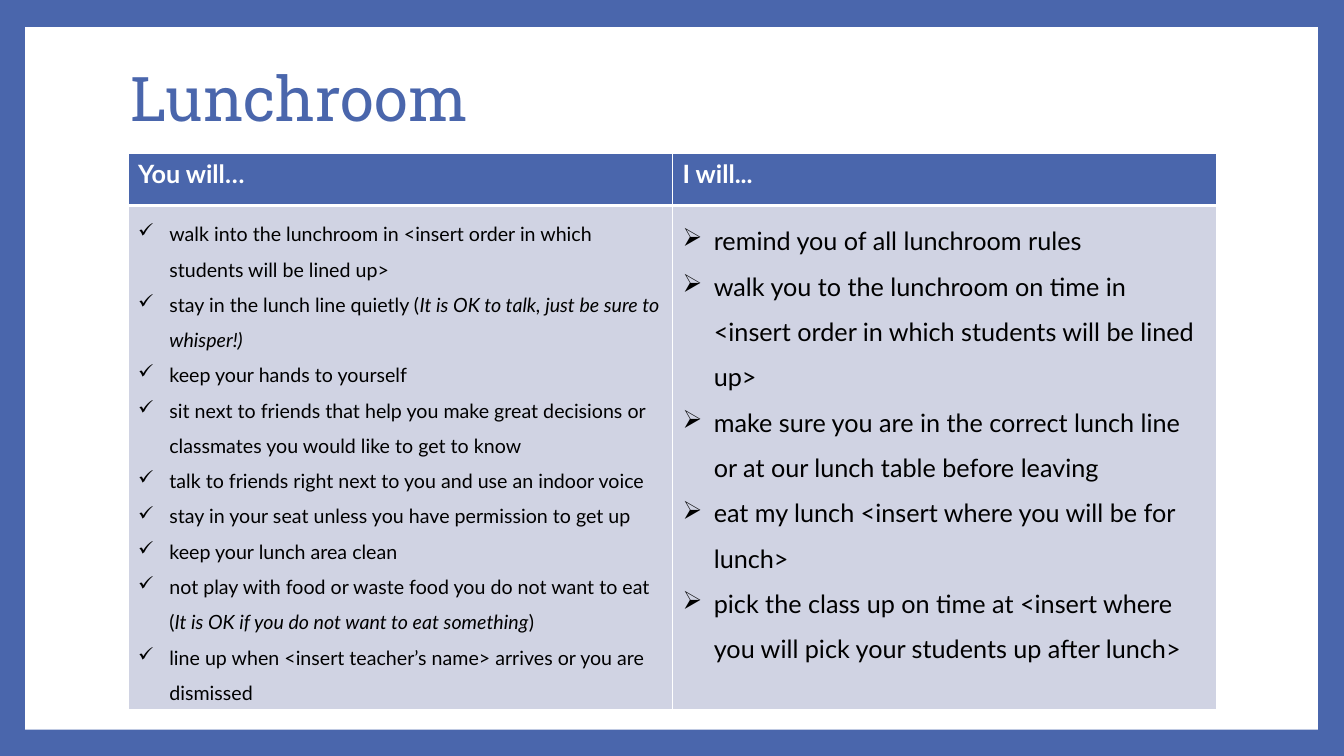
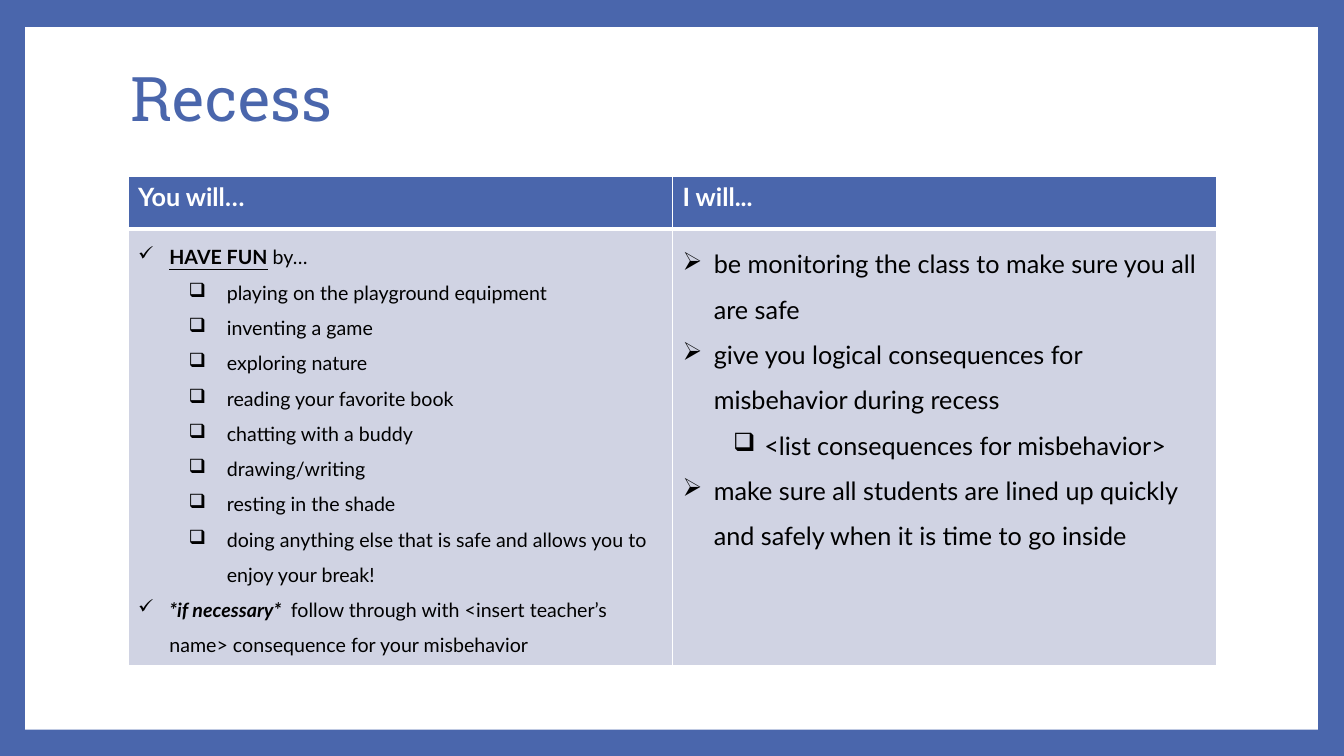
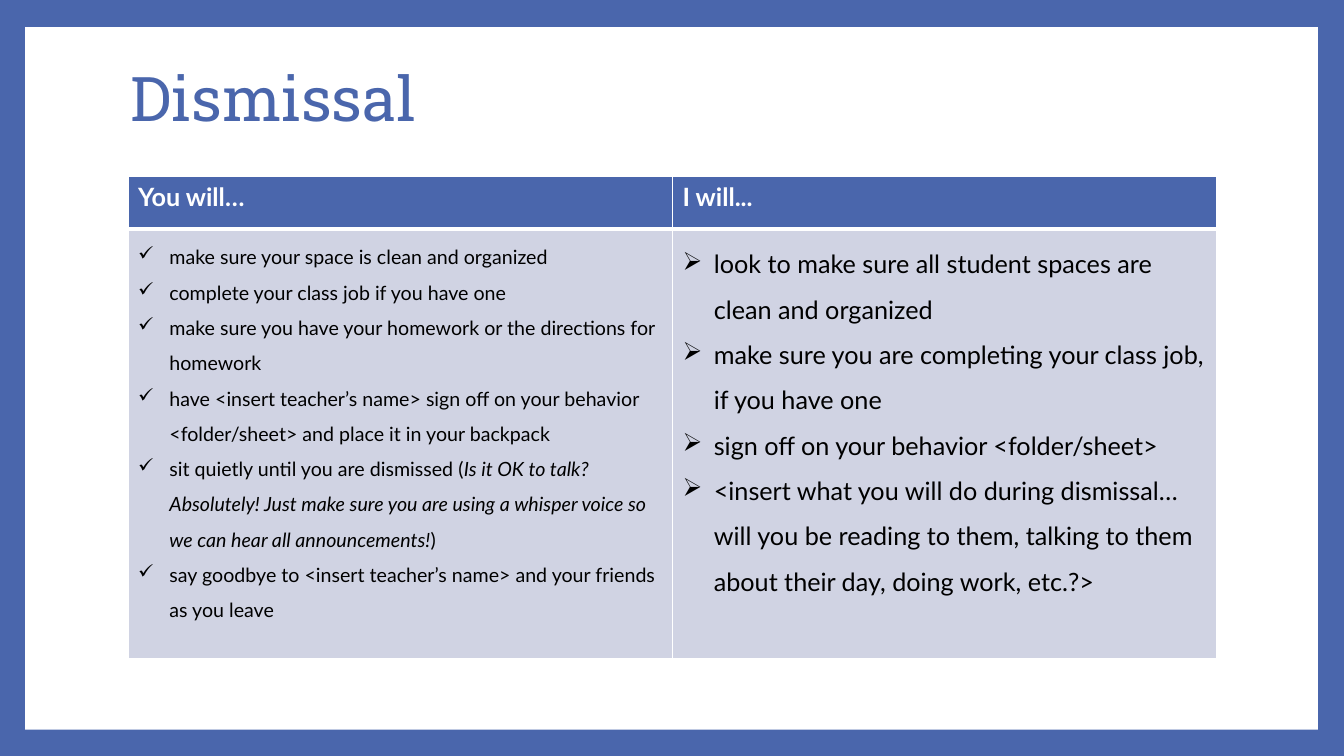
from lxml import etree
from pptx import Presentation
from pptx import util as u
from pptx.dml.color import RGBColor
from pptx.enum import shapes, text
from pptx.oxml import ns

COLORS = {"blue": "4A66AC", "pale": "D0D3E3", "white": "FFFFFF", "black": "000000"}
FONTS = {"title": "Roboto Slab", "body": "Lato"}
CHECK, ARROW, BOX = "✓", "➢", "❑"
HEADINGS = ("You will…", "I will...")
BODY_SIZES = (14, 18)


def rgb(name):
    return RGBColor.from_string(COLORS[name])


def add_text(p, content, size=18, font="body", color="black", bold=False, italic=False, underline=False):
    r = p.add_run()
    r.text = content
    f = r.font
    f.size, f.name, f.color.rgb = u.Pt(size), FONTS[font], rgb(color)
    f.bold, f.italic, f.underline = bold, italic, underline


def items(bullet, *contents, left=0.31, hang=0.31, level=0):
    return [(bullet, left, hang, level, c) for c in contents]


class Deck:
    def __init__(self):
        self.prs = Presentation()
        self.prs.slide_width = u.Inches(13.33)
        self.prs.slide_height = u.Inches(7.5)
        self.s = None

    def add_slide(self, title):
        self.s = self.prs.slides.add_slide(self.prs.slide_layouts[6])
        fill = self.s.background.fill
        fill.solid()
        fill.fore_color.rgb = rgb("blue")
        self.panel()
        self.title(title)

    def panel(self):
        sp = self.s.shapes.add_shape(
            shapes.MSO_SHAPE.RECTANGLE, u.Inches(0.25), u.Inches(0.27), u.Inches(12.82), u.Inches(6.97))
        sp.shadow.inherit = False
        sp.fill.solid()
        sp.fill.fore_color.rgb = rgb("white")
        sp.line.fill.background()

    def title(self, content):
        sp = self.s.shapes.add_textbox(u.Inches(1.2), u.Inches(0.27), u.Inches(10.8), u.Inches(1.48))
        tf = sp.text_frame
        tf.word_wrap = True
        tf.vertical_anchor = text.MSO_ANCHOR.MIDDLE
        p = tf.paragraphs[0]
        p.line_spacing = 0.9
        add_text(p, content, size=44, font="title", color="blue")

    def style_cell(self, cell, fill, top, bottom):
        tc_pr = cell._tc.get_or_add_tcPr()
        for side, width in (("L", 1), ("R", 1), ("T", top), ("B", bottom)):
            ln = etree.SubElement(tc_pr, ns.qn(f"a:ln{side}"), w=str(u.Pt(width)))
            solid = etree.SubElement(ln, ns.qn("a:solidFill"))
            etree.SubElement(solid, ns.qn("a:srgbClr"), val=COLORS["white"])
        cell.fill.solid()
        cell.fill.fore_color.rgb = rgb(fill)

    def bullet_item(self, p, item, size):
        bullet, left, hang, level, content = item
        p.level = level
        p.line_spacing = 1.5
        p_pr = p._p.get_or_add_pPr()
        p_pr.set("marL", str(u.Inches(left)))
        p_pr.set("indent", str(-u.Inches(hang)))
        etree.SubElement(p_pr, ns.qn("a:buChar"), char=bullet)
        runs = [(content, {})] if isinstance(content, str) else content
        for words, fmt in runs:
            add_text(p, words, size=size, **fmt)

    def table(self, top, body_height, *columns):
        heights = (0.52, body_height)
        table = self.s.shapes.add_table(
            2, 2, u.Inches(1.27), u.Inches(top), u.Inches(10.8), u.Inches(sum(heights))).table
        for row, height in zip(table.rows, heights):
            row.height = u.Inches(height)
        for i, (heading, column, size) in enumerate(zip(HEADINGS, columns, BODY_SIZES)):
            table.columns[i].width = u.Inches(5.4)
            head, body = table.cell(0, i), table.cell(1, i)
            self.style_cell(head, "blue", 1, 3)
            self.style_cell(body, "pale", 3, 1)
            add_text(head.text_frame.paragraphs[0], heading, color="white", bold=True)
            tf = body.text_frame
            for n, item in enumerate(column):
                p = tf.add_paragraph() if n else tf.paragraphs[0]
                self.bullet_item(p, item, size)


def lunchroom(deck):
    deck.add_slide("Lunchroom")
    deck.table(
        1.52, 4.33,
        items(
            CHECK,
            "walk into the lunchroom in <insert order in which students will be lined up>",
            [("stay in the lunch line quietly (", {}),
             ("It is OK to talk, just be sure to whisper!)", {"italic": True})],
            "keep your hands to yourself",
            "sit next to friends that help you make great decisions or classmates you would like to get to know",
            "talk to friends right next to you and use an indoor voice",
            "stay in your seat unless you have permission to get up",
            "keep your lunch area clean",
            [("not play with food or waste food you do not want to eat (", {}),
             ("It is OK if you do not want to eat something", {"italic": True}),
             (")", {})],
            "line up when <insert teacher’s name> arrives or you are dismissed"),
        items(
            ARROW,
            "remind you of all lunchroom rules",
            "walk you to the lunchroom on time in <insert order in which students will be lined up>",
            "make sure you are in the correct lunch line or at our lunch table before leaving",
            "eat my lunch <insert where you will be for lunch>",
            "pick the class up on time at <insert where you will pick your students up after lunch>"))


def recess(deck):
    deck.add_slide("Recess")
    deck.table(
        1.75, 4.33,
        items(CHECK, [("HAVE FUN", {"bold": True, "underline": True}), (" by…", {})])
        + items(
            BOX,
            "playing on the playground equipment",
            "inventing a game",
            "exploring nature",
            "reading your favorite book",
            "chatting with a buddy",
            "drawing/writing",
            "resting in the shade",
            "doing anything else that is safe and allows you to enjoy your break!",
            left=0.88, hang=0.38, level=1)
        + items(
            CHECK,
            [("*if necessary* ", {"bold": True, "italic": True}),
             (" follow through with <insert teacher’s name> consequence for your misbehavior", {})]),
        items(
            ARROW,
            "be monitoring the class to make sure you all are safe",
            "give you logical consequences for misbehavior during recess")
        + items(BOX, "<list consequences for misbehavior>", left=0.81, level=1)
        + items(ARROW, "make sure all students are lined up quickly and safely when it is time to go inside"))


def dismissal(deck):
    deck.add_slide("Dismissal")
    deck.table(
        1.75, 4.26,
        items(
            CHECK,
            "make sure your space is clean and organized",
            "complete your class job if you have one",
            "make sure you have your homework or the directions for homework",
            "have <insert teacher’s name> sign off on your behavior <folder/sheet> and place it in your backpack",
            [("sit quietly until you are dismissed (", {}),
             ("Is it OK to talk? Absolutely! Just make sure you are using a whisper voice "
              "so we can hear all announcements!", {"italic": True}),
             (")", {})],
            "say goodbye to <insert teacher’s name> and your friends as you leave"),
        items(
            ARROW,
            "look to make sure all student spaces are clean and organized",
            "make sure you are completing your class job, if you have one",
            "sign off on your behavior <folder/sheet>",
            "<insert what you will do during dismissal… will you be reading to them, "
            "talking to them about their day, doing work, etc.?>"))


def main():
    deck = Deck()
    lunchroom(deck)
    recess(deck)
    dismissal(deck)
    deck.prs.save("out.pptx")


if __name__ == "__main__":
    main()
